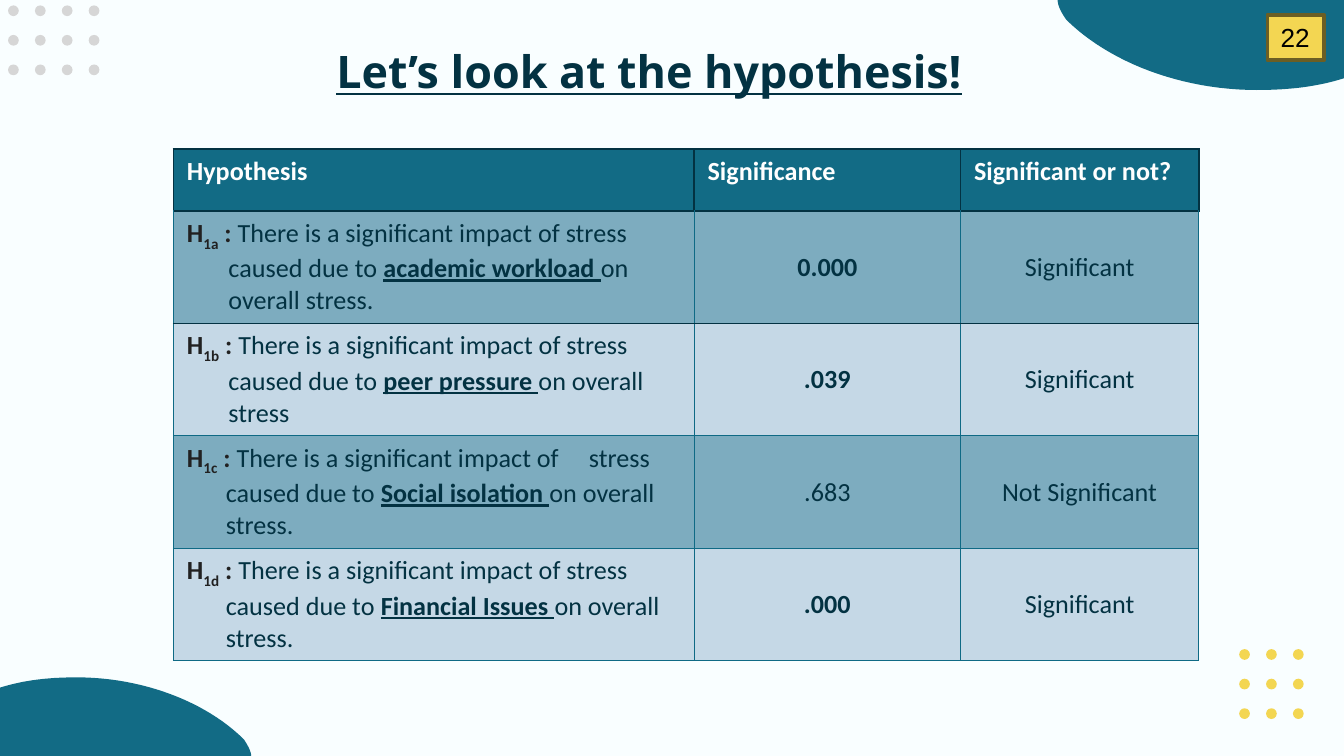
from dataclasses import dataclass

import pptx
import pptx.dml.color
import pptx.enum.shapes
import pptx.enum.text
import pptx.oxml
import pptx.oxml.ns
import pptx.util
from lxml import etree

Inches, Pt = pptx.util.Inches, pptx.util.Pt
ALIGN, ANCHOR = pptx.enum.text.PP_ALIGN, pptx.enum.text.MSO_ANCHOR
SHAPE = pptx.enum.shapes.MSO_SHAPE


@dataclass(frozen=True)
class Theme:
    page: str = "F9FEFF"
    teal: str = "126B85"
    rule: str = "0F6A85"
    navy: str = "033242"
    ink: str = "212121"
    white: str = "FFFFFF"
    black: str = "000000"
    gray: str = "D6D6D6"
    yellow: str = "F3D652"
    olive: str = "6B5E24"
    band_dark: str = "7DACBF"
    band_light: str = "C5D8E6"
    title_font: str = "Open Sans"
    body_font: str = "Calibri"
    number_font: str = "Arial"
    title_size: int = 24
    body_size: int = 14


T = Theme()

HEADERS = ["Hypothesis", "Significance", "Significant or not?"]
# tag, gap before "stress" in points, factor, ending, hanging indent, value, value is bold, verdict
HYPOTHESES = [
    ("1a", 0, "academic workload ", "on overall stress.", 0.31, "0.000", True, "Significant"),
    ("1b", 0, "peer pressure ", "on overall stress", 0.31, ".039", True, "Significant"),
    ("1c", 12.7, "Social isolation ", "on overall stress.", 0.29, ".683", False, "Not Significant"),
    ("1d", 0, "Financial Issues ", "on overall stress.", 0.29, ".000", True, "Significant"),
]


def rgb(color):
    return pptx.dml.color.RGBColor.from_string(color)


def paint(sp, fill, line=None, width=0):
    sp.shadow.inherit = False
    sp.fill.solid()
    sp.fill.fore_color.rgb = rgb(fill)
    if line:
        sp.line.color.rgb = rgb(line)
        sp.line.width = Pt(width)
    else:
        sp.line.fill.background()


def style(r, color, bold=False, underline=False, font=T.body_font, size=T.body_size):
    r.font.name, r.font.size = font, Pt(size)
    r.font.color.rgb = rgb(color)
    r.font.bold, r.font.underline = bold, underline


def hang(p, indent):
    pPr = p._p.get_or_add_pPr()
    pPr.set("marL", str(Inches(indent)))
    pPr.set("indent", str(-Inches(indent)))


def add_blob(s, x, y, w, h, flip):
    """Corner wave: a flat foot and a curved top; flip turns it half round."""
    curves = [
        [(0, 0.13), (0.1, 0.03), (0.2, 0), (0.305, 0)],
        [(0.305, 0), (0.57, 0), (0.82, 0.31), (0.97, 0.78)],
        [(0.97, 0.78), (0.985, 0.85), (1, 0.93), (1, 1)],
    ]
    steps = 24
    points = []
    for a, b, c, d in curves:
        for i in range(steps + 1):
            t = i / steps
            weights = ((1 - t) ** 3, 3 * t * (1 - t) ** 2, 3 * t * t * (1 - t), t ** 3)
            points.append([sum(k * q[n] for k, q in zip(weights, (a, b, c, d))) for n in (0, 1)])
    points.append([0, 1])
    if flip:
        points = [[1 - u, 1 - v] for u, v in points]
    spots = [(Inches(x + u * w), Inches(y + v * h)) for u, v in points]
    builder = s.shapes.build_freeform(*spots[0])
    builder.add_line_segments(spots[1:], close=True)
    paint(builder.convert_to_shape(), T.teal)


def add_dots(s, x, y, columns, rows, color):
    size, step_x, step_y = 0.08, 0.2, 0.22
    for i in range(columns):
        for j in range(rows):
            sp = s.shapes.add_shape(SHAPE.OVAL, Inches(x + i * step_x), Inches(y + j * step_y),
                                    Inches(size), Inches(size))
            paint(sp, color)


def add_title(s, x, y, w, h):
    tf = s.shapes.add_textbox(Inches(x), Inches(y), Inches(w), Inches(h)).text_frame
    tf.word_wrap = True
    tf.text = "Let’s look at the hypothesis!"
    p = tf.paragraphs[0]
    p.alignment = ALIGN.CENTER
    hang(p, 0.31)
    style(p.runs[0], T.navy, True, True, T.title_font, T.title_size)


def add_page_number(s, x, y, w, h):
    sp = s.shapes.add_shape(SHAPE.RECTANGLE, Inches(x), Inches(y), Inches(w), Inches(h))
    paint(sp, T.yellow, T.olive, 2)
    tf = sp.text_frame
    tf.vertical_anchor = ANCHOR.TOP
    tf.text = "22"
    tf.paragraphs[0].alignment = ALIGN.LEFT
    style(tf.paragraphs[0].runs[0], T.black, font=T.number_font)


def format_cell(cell, fill, sides):
    """Borders come before the fill in the cell properties."""
    tcPr = cell._tc.get_or_add_tcPr()
    for side in "LRTB":
        color, width = sides[side]
        ln = etree.SubElement(tcPr, pptx.oxml.ns.qn("a:ln" + side), w=str(Pt(width)))
        solid = etree.SubElement(ln, pptx.oxml.ns.qn("a:solidFill"))
        etree.SubElement(solid, pptx.oxml.ns.qn("a:srgbClr"), val=color)
    cell.fill.solid()
    cell.fill.fore_color.rgb = rgb(fill)


def write_hypothesis(cell, tag, gap, factor, ending, indent):
    p = cell.text_frame.paragraphs[0]
    hang(p, indent)
    lead = ["There is a significant impact of", " ", "stress caused due to "]
    if not gap:
        lead = ["".join(lead)]
    parts = [(text, T.ink, True, False) for text in ("H", tag, " : ")]
    parts += [(text, T.navy, False, False) for text in lead]
    parts += [(factor, T.navy, True, True), (ending, T.navy, False, False)]
    for text, color, bold, underline in parts:
        r = p.add_run()
        r.text = text
        style(r, color, bold, underline)
        if text == tag:
            r._r.get_or_add_rPr().set("baseline", "-25000")
        elif text == " ":
            r._r.get_or_add_rPr().set("spc", str(round(gap * 100)))


def write_cell(cell, text, color, bold, centered):
    cell.text_frame.text = text
    p = cell.text_frame.paragraphs[0]
    style(p.runs[0], color, bold)
    if centered:
        p.alignment = ALIGN.CENTER
        cell.vertical_anchor = ANCHOR.MIDDLE


def add_hypothesis_table(s, x, y, w, h):
    frame = s.shapes.add_table(len(HYPOTHESES) + 1, len(HEADERS),
                               Inches(x), Inches(y), Inches(w), Inches(h))
    table = frame.table
    table.first_row = table.horz_banding = False
    shares = (3.87, 1.98, 1.77)
    for column, share in zip(table.columns, shares):
        column.width = Inches(w * share / sum(shares))
    # Rows grow to fit their text
    for row in table.rows:
        row.height = Inches(0.46)
    frame.height = Inches(h)

    strong, thin = (T.navy, 1), (T.rule, 0.75)
    for j, text in enumerate(HEADERS):
        write_cell(table.cell(0, j), text, T.white, True, False)
        format_cell(table.cell(0, j), T.teal, dict.fromkeys("LRTB", strong))
    for i, (*hypothesis, value, bold, verdict) in enumerate(HYPOTHESES, 1):
        write_hypothesis(table.cell(i, 0), *hypothesis)
        write_cell(table.cell(i, 1), value, T.navy, bold, True)
        write_cell(table.cell(i, 2), verdict, T.navy, False, True)
        sides = {"L": thin, "R": thin, "T": strong if i < 3 else thin, "B": strong if i == 1 else thin}
        for cell in table.rows[i].cells:
            format_cell(cell, T.band_dark if i % 2 else T.band_light, sides)


def main():
    prs = pptx.Presentation()
    # Widescreen, 16 to 9
    prs.slide_width = Inches(10)
    prs.slide_height = prs.slide_width * 9 // 16
    s = prs.slides.add_slide(prs.slide_layouts[6])
    s.background.fill.solid()
    s.background.fill.fore_color.rgb = rgb(T.page)

    # Corner decoration
    add_blob(s, 0, 5.04, 1.87, 0.59, False)
    add_dots(s, 0.06, 0.04, 4, 3, T.gray)
    add_blob(s, 7.87, 0, 2.13, 0.67, True)
    add_dots(s, 9.22, 4.83, 3, 3, T.yellow)

    # Content
    add_hypothesis_table(s, 1.29, 1.11, 7.63, 3.77)
    add_title(s, 2.05, 0.28, 5.56, 0.5)
    add_page_number(s, 9.43, 0.11, 0.42, 0.34)
    prs.save("out.pptx")


if __name__ == "__main__":
    main()
